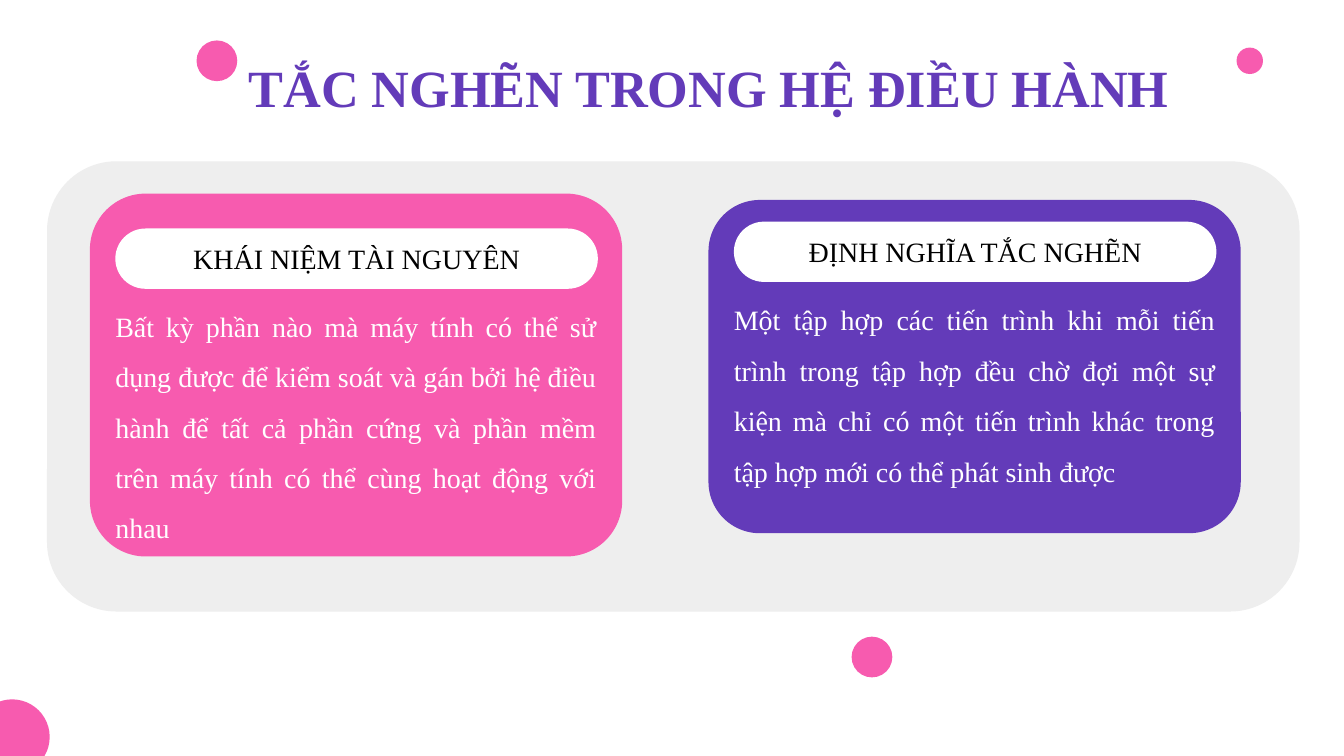
"""Build a slide on congestion in operating systems with two definition cards."""
from pptx import Presentation
from pptx.dml.color import RGBColor
from pptx.enum.shapes import MSO_SHAPE
from pptx.enum.text import MSO_ANCHOR, MSO_AUTO_SIZE, PP_ALIGN
from pptx.util import Cm, Pt

HUES = {
    "pink": "F75BAF",
    "violet": "633BB9",
    "grey": "EEEEEE",
    "white": "FFFFFF",
    "black": "000000",
}
FACE = "Times New Roman"
INSET = Cm(0.25)
FRAME = {
    "margin_left": INSET,
    "margin_right": INSET,
    "margin_top": INSET,
    "margin_bottom": INSET,
    "word_wrap": True,
    "auto_size": MSO_AUTO_SIZE.NONE,
}
HEAD = {"name": FACE, "size": Pt(28), "bold": True}
BODY = {"name": FACE, "size": Pt(15), "bold": False}

DOTS = [
    (16.48, 12.42, 0.77),
    (23.62, 1.15, 0.5),
    (0.23, 13.93, 1.42),
    (4.1, 1.15, 0.77),
]
CARDS = [
    {
        "hue": "pink", "box": (1.7, 3.66, 10.06, 6.86),
        "pill": 4.32, "text": (5.44, 4.95),
        "label": "KHÁI NIỆM TÀI NGUYÊN",
        "body": "Bất kỳ phần nào mà máy tính có thể sử dụng được để kiểm soát "
                "và gán bởi hệ điều hành để tất cả phần cứng và phần mềm trên "
                "máy tính có thể cùng hoạt động với nhau",
    },
    {
        "hue": "violet", "box": (13.39, 3.78, 10.06, 6.3),
        "pill": 4.19, "text": (5.46, 3.71),
        "label": "ĐỊNH NGHĨA TẮC NGHẼN",
        "body": "Một tập hợp các tiến trình khi mỗi tiến trình trong tập hợp "
                "đều chờ đợi một sự kiện mà chỉ có một tiến trình khác trong "
                "tập hợp mới có thể phát sinh được",
    },
]


def color(hue):
    """Return the named colour."""
    return RGBColor.from_string(HUES[hue])


def apply(item, values):
    """Set each attribute in values on item."""
    for name, value in values.items():
        setattr(item, name, value)


def write(shape, text, hue, font, align, anchor, space=1.0):
    """Put one formatted paragraph into a shape."""
    frame = shape.text_frame
    apply(frame, {**FRAME, "vertical_anchor": anchor})
    para = frame.paragraphs[0]
    apply(para, {"alignment": align, "line_spacing": space})
    run = para.add_run()
    run.text = text
    apply(run.font, font)
    run.font.color.rgb = color(hue)


def add_form(slide, kind, box, hue, curve=None):
    """Add a plain filled shape, with rounded corners if curve is given."""
    shape = slide.shapes.add_shape(kind, *map(Cm, box))
    shape.shadow.inherit = False
    shape.fill.solid()
    shape.fill.fore_color.rgb = color(hue)
    shape.line.fill.background()
    if curve is not None:
        shape.adjustments[0] = curve
    return shape


def add_dot(slide, x, y, size):
    """Add a pink dot around its centre."""
    box = (x - size / 2, y - size / 2, size, size)
    add_form(slide, MSO_SHAPE.OVAL, box, "pink")


def add_panel(slide, box, hue):
    """Add a softly rounded panel."""
    add_form(slide, MSO_SHAPE.ROUNDED_RECTANGLE, box, hue, 0.154)


def add_card(slide, card):
    """Add a panel with a label pill and a justified text."""
    left = card["box"][0]
    add_panel(slide, card["box"], card["hue"])
    pill = add_form(slide, MSO_SHAPE.ROUNDED_RECTANGLE,
                    (left + 0.48, card["pill"], 9.12, 1.14), "white", 0.5)
    write(pill, card["label"], "black", BODY, PP_ALIGN.CENTER, MSO_ANCHOR.MIDDLE)
    top, height = card["text"]
    area = slide.shapes.add_textbox(Cm(left + 0.23), Cm(top), Cm(9.6), Cm(height))
    write(area, card["body"], "white", BODY, PP_ALIGN.JUSTIFY,
          MSO_ANCHOR.MIDDLE, 1.5)


def add_title(slide, text):
    """Place and fill the title."""
    title = slide.shapes.title
    apply(title, {"left": Cm(2.67), "top": Cm(0.79),
                  "width": Cm(21.44), "height": Cm(1.6)})
    write(title, text, "violet", HEAD, PP_ALIGN.CENTER, MSO_ANCHOR.TOP)


def main():
    """Build and save the slide."""
    deck = Presentation()
    apply(deck, {"slide_width": Cm(25.4), "slide_height": Cm(14.29)})
    slide = deck.slides.add_slide(deck.slide_layouts[5])
    for dot in DOTS:
        add_dot(slide, *dot)
    add_panel(slide, (0.89, 3.05, 23.67, 8.51), "grey")
    add_title(slide, "TẮC NGHẼN TRONG HỆ ĐIỀU HÀNH")
    for card in CARDS:
        add_card(slide, card)
    deck.save("out.pptx")


if __name__ == "__main__":
    main()
